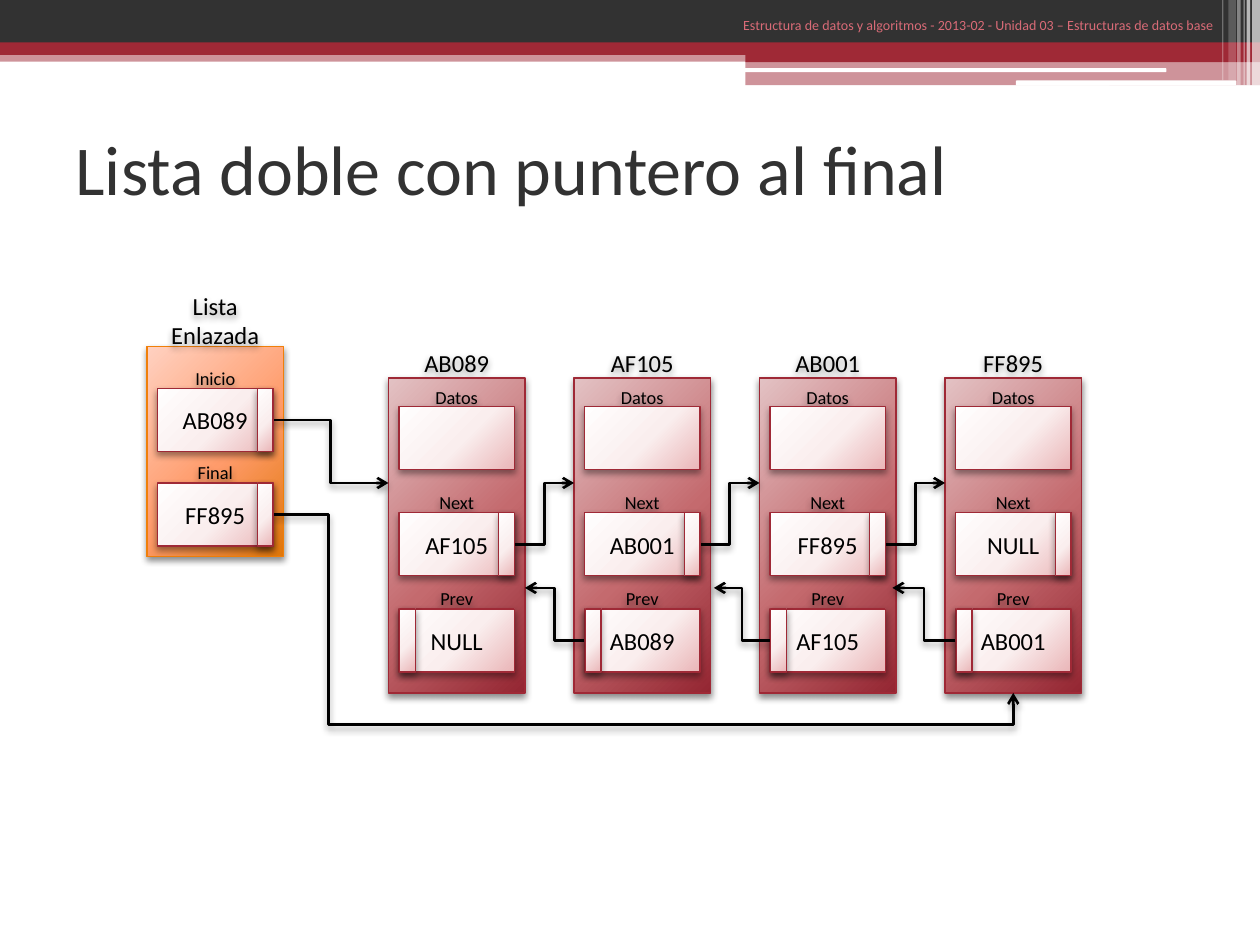
from dataclasses import dataclass

from lxml.etree import SubElement
from pptx import Presentation
from pptx.dml.color import RGBColor
from pptx.enum.shapes import MSO_CONNECTOR, MSO_SHAPE
from pptx.enum.text import MSO_ANCHOR, PP_ALIGN
from pptx.oxml import parse_xml
from pptx.oxml.ns import nsdecls, qn
from pptx.util import Pt


@dataclass(frozen=True)
class Theme:
    font: str = "Calibri"
    dark: str = "323232"
    red: str = "9F2936"
    orange: str = "F07F09"
    white: str = "FFFFFF"
    black: str = "000000"
    header: str = "D96B77"
    node_gradient: tuple = ("E3C2C4", "C46A6E", "942632")
    list_gradient: tuple = ("FFD1C1", "FF9B6A", "E07608")
    field_gradient: tuple = ("FFFEFE", "FAEEEE", "EAB6B8")
    title_size: float = 40
    value_size: float = 14
    label_size: float = 10.5
    header_size: float = 8


class SlideBuilder:
    def __init__(self, slide, theme):
        self.slide = slide
        self.theme = theme

    def style_text(self, shape, text, size, color, align, anchor=MSO_ANCHOR.MIDDLE):
        frame = shape.text_frame
        frame.word_wrap = True
        frame.vertical_anchor = anchor
        frame.text = text
        paragraph = frame.paragraphs[0]
        paragraph.alignment = align
        paragraph.font.name = self.theme.font
        paragraph.font.size = Pt(size)
        paragraph.font.color.rgb = RGBColor.from_string(color)
        return frame

    def add_shadow(self, shape, alpha=40):
        properties = shape.element.spPr
        effects = properties.find(qn("a:effectLst"))
        if effects is None:
            effects = SubElement(properties, qn("a:effectLst"))
        effects.append(parse_xml(
            f'<a:outerShdw {nsdecls("a")} blurRad="{Pt(4)}" dist="{Pt(2)}" dir="5400000" '
            f'rotWithShape="0"><a:srgbClr val="{self.theme.black}">'
            f'<a:alpha val="{alpha * 1000}"/></a:srgbClr></a:outerShdw>'))

    def title(self, text, left, top, width, height):
        shape = self.slide.shapes.title
        shape.left, shape.top, shape.width, shape.height = map(Pt, (left, top, width, height))
        self.style_text(shape, text, self.theme.title_size, self.theme.dark, PP_ALIGN.LEFT)

    def header(self, text, left, top, width, height):
        box = self.slide.shapes.add_textbox(*map(Pt, (left, top, width, height)))
        self.style_text(box, text, self.theme.header_size, self.theme.header,
                        PP_ALIGN.RIGHT, MSO_ANCHOR.TOP)

    def label(self, text, left, top, width, height, size):
        box = self.slide.shapes.add_textbox(*map(Pt, (left, top, width, height)))
        frame = self.style_text(box, text, size, self.theme.black, PP_ALIGN.CENTER)
        frame.margin_left = frame.margin_right = frame.margin_top = frame.margin_bottom = 0
        self.add_shadow(box)

    def bar(self, left, top, width, height, color, alpha=100, kind=MSO_SHAPE.RECTANGLE):
        shape = self.slide.shapes.add_shape(kind, *map(Pt, (left, top, width, height)))
        shape.shadow.inherit = False
        shape.line.fill.background()
        shape.fill.solid()
        shape.fill.fore_color.rgb = RGBColor.from_string(color)
        if alpha < 100:
            color_node = shape.element.spPr.find(".//" + qn("a:srgbClr"))
            SubElement(color_node, qn("a:alpha"), val=str(alpha * 1000))

    def panel(self, left, top, width, height, gradient, line, text="", alpha=40):
        shape = self.slide.shapes.add_shape(
            MSO_SHAPE.RECTANGLE, *map(Pt, (left, top, width, height)))
        shape.shadow.inherit = False
        shape.line.color.rgb = RGBColor.from_string(line)
        shape.line.width = Pt(0.75)
        shape.fill.background()
        stops = "".join(
            f'<a:gs pos="{position}"><a:srgbClr val="{color}"/></a:gs>'
            for position, color in zip((0, 55000, 100000), gradient))
        properties = shape.element.spPr
        properties.replace(properties.find(qn("a:noFill")), parse_xml(
            f'<a:gradFill {nsdecls("a")} rotWithShape="1"><a:gsLst>{stops}</a:gsLst>'
            '<a:path path="circle"><a:fillToRect l="-40000" t="-90000" r="140000" b="190000"/>'
            '</a:path></a:gradFill>'))
        self.add_shadow(shape, alpha)
        if text:
            self.style_text(shape, text, self.theme.value_size, self.theme.black, PP_ALIGN.CENTER)

    def field(self, name, value, left, label_top, top):
        self.label(name, left, label_top, FIELD_WIDTH, 12, self.theme.label_size)
        self.panel(left, top, FIELD_WIDTH, FIELD_HEIGHT,
                   self.theme.field_gradient, self.theme.red, value)

    def slot(self, left, top):
        self.panel(left, top, 9, FIELD_HEIGHT, self.theme.field_gradient, self.theme.red)

    def arrow(self, start, end, bends=()):
        connector = self.slide.shapes.add_connector(
            MSO_CONNECTOR.ELBOW, *map(Pt, (*start, *end)))
        connector.line.color.rgb = RGBColor.from_string(self.theme.black)
        connector.line.width = Pt(1.5)
        properties = connector.element.spPr
        SubElement(properties.find(qn("a:ln")), qn("a:tailEnd"), type="arrow")
        if bends:
            geometry = properties.find(qn("a:prstGeom"))
            geometry.set("prst", f"bentConnector{len(bends) + 2}")
            guides = geometry.find(qn("a:avLst"))
            if guides is None:
                guides = SubElement(geometry, qn("a:avLst"))
            for number, bend in enumerate(bends, 1):
                SubElement(guides, qn("a:gd"), name=f"adj{number}",
                           fmla=f"val {round(bend * 100000)}")
        self.add_shadow(connector)


deck = Presentation()
deck.slide_width, deck.slide_height = Pt(720), Pt(540)
theme = Theme()
page = SlideBuilder(deck.slides.add_slide(deck.slide_layouts[5]), theme)

# Top banner
for left, top, width, height, color, alpha in (
        (0, 28.8, 720, 6.5, theme.red, 50), (0, 0, 720, 24.5, theme.dark, 100),
        (0, 24.2, 720, 7.2, theme.red, 100), (426, 28.3, 294, 7.2, theme.red, 100),
        (426, 35.2, 294, 13.5, theme.red, 50)):
    page.bar(left, top, width, height, color, alpha)
for left, top, width, height in ((425.5, 39, 241, 2.2), (580.5, 46, 126, 2.9)):
    page.bar(left, top, width, height, theme.white, kind=MSO_SHAPE.ROUNDED_RECTANGLE)
for left, width, height, alpha in (
        (715.5, 4.5, 49, 65), (712.4, 2, 49, 65), (710.6, 0.7, 49, 60),
        (707, 2, 49, 40), (702, 4.3, 46, 20), (698.4, 0.7, 46, 30)):
    page.bar(left, 0, width, height, theme.white, alpha)

page.title("Lista doble con puntero al final", 36, 54, 648, 84)

# Layout rules of the diagram
FIELD_WIDTH, FIELD_HEIGHT, PADDING = 66, 36, 6
NODE_WIDTH, NODE_LEFT, NODE_PITCH, NODE_TOP, NODE_HEIGHT = 78, 222, 106, 216, 180
NEXT_TOP, PREV_TOP, ENTRY_TOP = 293, 348, 276
LIST_LEFT = 84
list_field = LIST_LEFT + PADDING
list_right = list_field + FIELD_WIDTH
addresses = ["AB089", "AF105", "AB001", "FF895"]
node_lefts = [NODE_LEFT + NODE_PITCH * index for index in range(len(addresses))]

# List head
page.panel(LIST_LEFT, 198, NODE_WIDTH, 120, theme.list_gradient, theme.orange, alpha=45)
page.label("Lista Enlazada", LIST_LEFT, 168, NODE_WIDTH, 30, theme.value_size)
pointers = (("Inicio", addresses[0], 222), ("Final", addresses[-1], 276))
for name, value, top in pointers:
    page.field(name, value, list_field, top - 12, top)

# Nodes
next_values = addresses[1:] + ["NULL"]
prev_values = ["NULL"] + addresses[:-1]
for left, address, following, previous in zip(node_lefts, addresses, next_values, prev_values):
    page.label(address, left, NODE_TOP - 18, NODE_WIDTH, 18, theme.value_size)
    page.panel(left, NODE_TOP, NODE_WIDTH, NODE_HEIGHT, theme.node_gradient, theme.red, alpha=45)
    for name, value, label_top, top in (
            ("Datos", "", 221, 232.5), ("Next", following, 281, NEXT_TOP),
            ("Prev", previous, 336, PREV_TOP)):
        page.field(name, value, left + PADDING, label_top, top)

# Links
page.arrow((list_right, 240), (NODE_LEFT, ENTRY_TOP))
page.arrow((list_right, 294), (node_lefts[-1] + NODE_WIDTH / 2, NODE_TOP + NODE_HEIGHT),
           bends=(0.075, 1.176))
for left, right, prev_end in zip(node_lefts, node_lefts[1:], (300, 408, 510)):
    page.arrow((left + PADDING + FIELD_WIDTH, 311), (right, ENTRY_TOP))
    page.arrow((right + PADDING, 366), (prev_end, 336))

# Pointer slots
for name, value, top in pointers:
    page.slot(list_right - 9, top)
for left in node_lefts:
    page.slot(left + PADDING + FIELD_WIDTH - 9, NEXT_TOP)
    page.slot(left + PADDING + 0.5, PREV_TOP)

page.header("Estructura de datos y algoritmos - 2013-02 - Unidad 03 – Estructuras de datos base",
            336, 6, 365, 18)

deck.save("out.pptx")
